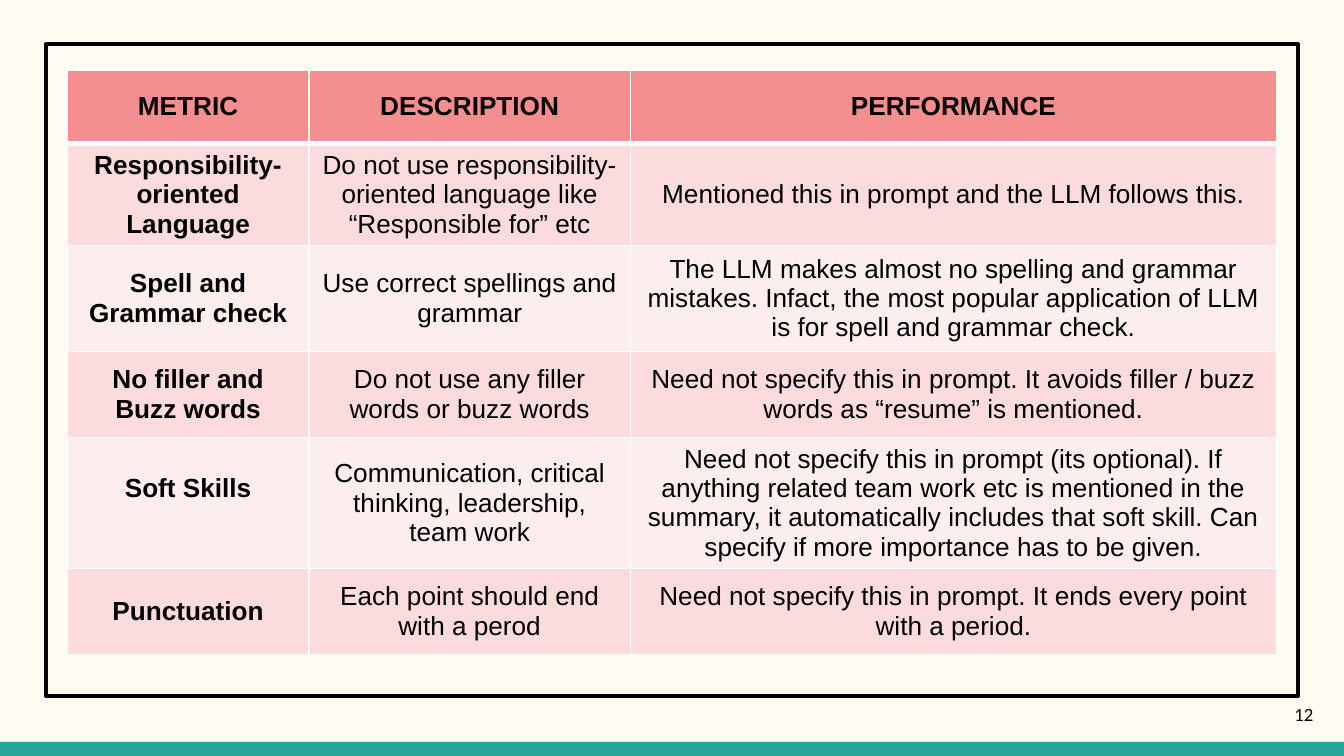
from pptx import Presentation
from pptx.util import Inches, Pt
from pptx.dml.color import RGBColor
from pptx.enum.shapes import MSO_SHAPE
from pptx.enum.text import PP_ALIGN, MSO_ANCHOR
from pptx.oxml import parse_xml
from pptx.oxml.ns import nsdecls

COLORS = {"cream": "FFFBF0", "teal": "26A69A", "black": "000000", "white": "FFFFFF",
          "header": "F58F8F", "odd": "FBDBDB", "even": "FDEEEE"}
ROWS = [
    ("METRIC", "DESCRIPTION", "PERFORMANCE"),
    ("Responsibility-oriented Language",
     "Do not use responsibility-oriented language like “Responsible for” etc",
     "Mentioned this in prompt and the LLM follows this."),
    ("Spell and Grammar check",
     "Use correct spellings and grammar",
     "The LLM makes almost no spelling and grammar mistakes. Infact, the most popular "
     "application of LLM is for spell and grammar check."),
    ("No filler and Buzz words",
     "Do not use any filler words or buzz words",
     "Need not specify this in prompt. It avoids filler / buzz words as “resume” is mentioned."),
    ("Soft Skills",
     "Communication, critical thinking, leadership, team work",
     "Need not specify this in prompt (its optional). If anything related team work etc is "
     "mentioned in the summary, it automatically includes that soft skill. Can specify if "
     "more importance has to be given."),
    ("Punctuation",
     "Each point should end with a perod",
     "Need not specify this in prompt. It ends every point with a period."),
]
COL_WIDTHS = [1.8, 2.39, 4.81]
ROW_HEIGHTS = [0.55, 0.68, 0.79, 0.64, 0.94, 0.64]


def rgb(name):
    return RGBColor.from_string(COLORS[name])


def write(tf, text, align, **font):
    p = tf.paragraphs[0]
    p.alignment = align
    r = p.add_run()
    r.text = text
    r.font.color.rgb = rgb("black")
    for key, value in font.items():
        setattr(r.font, key, value)


# A 16:9 page
prs = Presentation()
prs.slide_width = Inches(10)
prs.slide_height = Inches(10 * 9 / 16)
s = prs.slides.add_slide(prs.slide_layouts[6])
s.background.fill.solid()
s.background.fill.fore_color.rgb = rgb("cream")

# Bottom bar
bar = s.shapes.add_shape(MSO_SHAPE.RECTANGLE, 0, Inches(5.52), Inches(10), Inches(0.11))
bar.shadow.inherit = False
bar.fill.solid()
bar.fill.fore_color.rgb = rgb("teal")
bar.line.fill.background()

# Metrics table
table = s.shapes.add_table(len(ROWS), len(COL_WIDTHS), Inches(0.5), Inches(0.52),
                           Inches(9), Inches(4.24)).table
for column, width in zip(table.columns, COL_WIDTHS):
    column.width = Inches(width)
for row, height in zip(table.rows, ROW_HEIGHTS):
    row.height = Inches(height)
for i, texts in enumerate(ROWS):
    fill = "header" if i == 0 else "odd" if i % 2 else "even"
    for j, text in enumerate(texts):
        cell = table.cell(i, j)
        cell.vertical_anchor = MSO_ANCHOR.MIDDLE
        write(cell.text_frame, text, PP_ALIGN.CENTER, name="Arial", size=Pt(14),
              bold=i == 0 or j == 0)
        # Borders come before the fill; the rule under the header is thicker
        tcPr = cell._tc.get_or_add_tcPr()
        for side in ("L", "R", "T", "B"):
            thick = (i, side) in ((0, "B"), (1, "T"))
            tcPr.append(parse_xml(
                f'<a:ln{side} {nsdecls("a")} w="{Pt(3 if thick else 1)}"><a:solidFill>'
                f'<a:srgbClr val="{COLORS["white"]}"/></a:solidFill></a:ln{side}>'))
        cell.fill.solid()
        cell.fill.fore_color.rgb = rgb(fill)
# The Soft Skills label sits a little above the middle
table.cell(4, 0).margin_bottom = Inches(0.27)

# Frame
frame = s.shapes.add_shape(MSO_SHAPE.RECTANGLE, Inches(0.34), Inches(0.33),
                           Inches(9.32), Inches(4.85))
frame.shadow.inherit = False
frame.fill.background()
frame.line.color.rgb = rgb("black")
frame.line.width = Pt(2)

# Slide number
tf = s.shapes.add_textbox(Inches(9.27), Inches(5.1), Inches(0.6), Inches(0.43)).text_frame
tf.word_wrap = True
tf.vertical_anchor = MSO_ANCHOR.MIDDLE
for side in ("left", "right", "top", "bottom"):
    setattr(tf, f"margin_{side}", Inches(0.1))
write(tf, "12", PP_ALIGN.RIGHT, name="Calibri", size=Pt(10))

prs.save("out.pptx")
